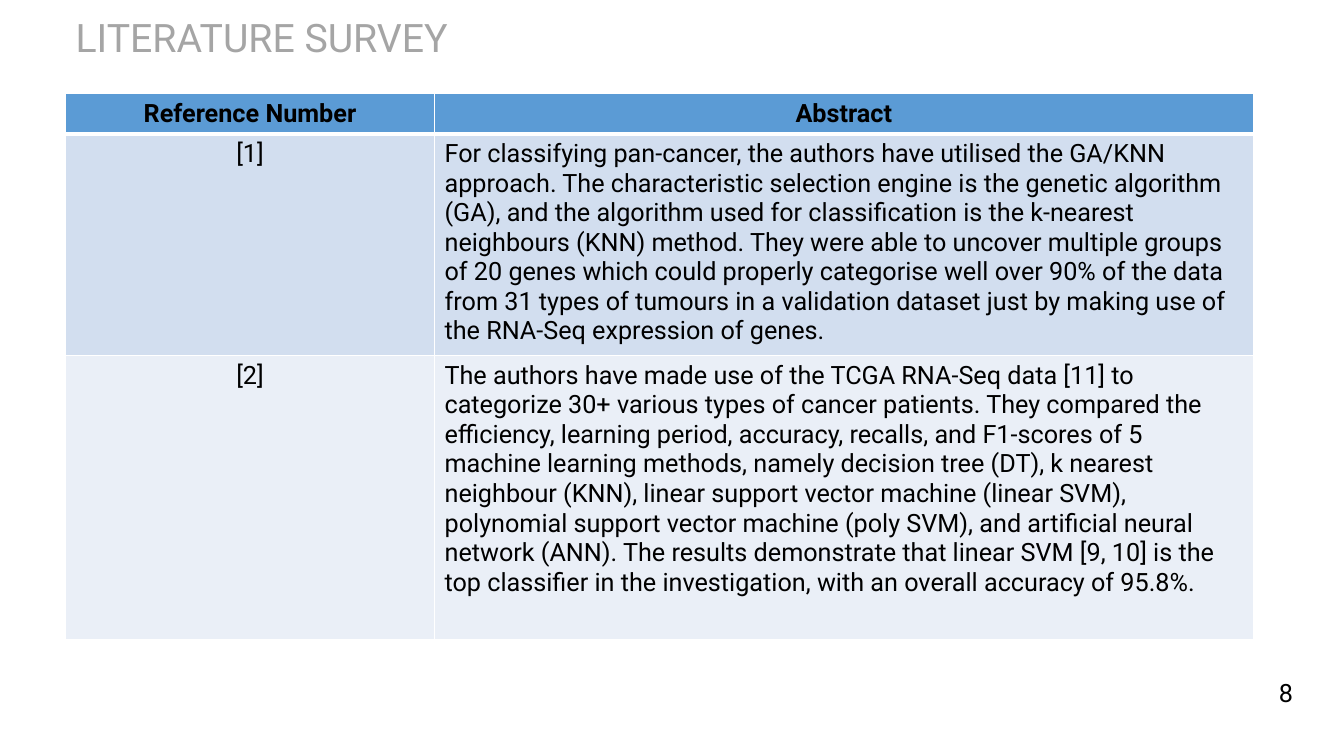
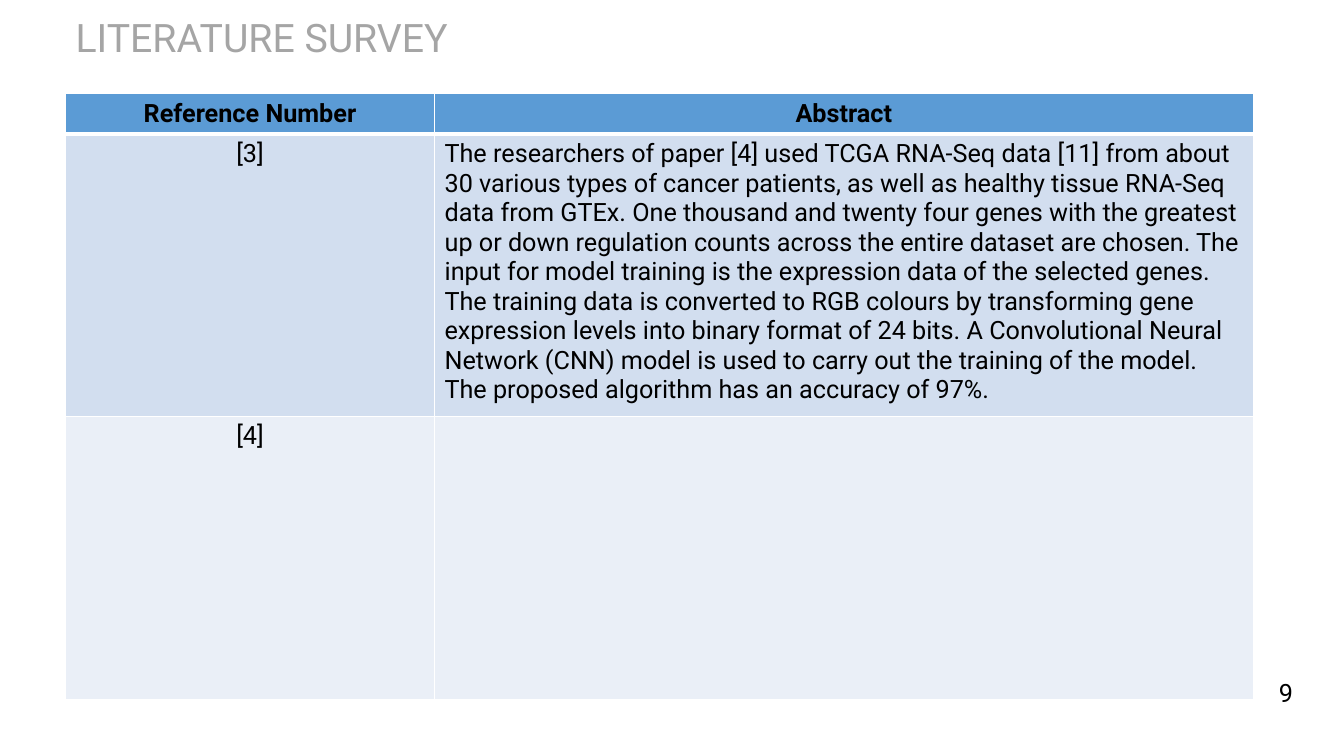
"""Build the two literature survey slides, each a table of references and abstracts."""
import pptx
import pptx.dml.color
import pptx.enum.text
import pptx.oxml
import pptx.oxml.ns
import pptx.util

Inches = pptx.util.Inches
Pt = pptx.util.Pt
RGBColor = pptx.dml.color.RGBColor
PP_ALIGN = pptx.enum.text.PP_ALIGN
MSO_ANCHOR = pptx.enum.text.MSO_ANCHOR

FONT = "Roboto"
TITLE_GREY = RGBColor(0xA5, 0xA5, 0xA5)
BLACK = RGBColor(0x00, 0x00, 0x00)
WHITE = RGBColor(0xFF, 0xFF, 0xFF)
ROW_FILLS = [
    RGBColor(0x5B, 0x9B, 0xD5),
    RGBColor(0xD2, 0xDE, 0xEF),
    RGBColor(0xEA, 0xEF, 0xF7),
]

TITLE = "LITERATURE SURVEY"
HEADINGS = ("Reference Number", "Abstract")
SURVEY_PAGES = [
    ("8", [
        ("[1]",
         "For classifying pan-cancer, the authors have utilised the GA/KNN approach. "
         "The characteristic selection engine is the genetic algorithm (GA), and the "
         "algorithm used for classification is the k-nearest neighbours (KNN) method. "
         "They were able to uncover multiple groups of 20 genes which could properly "
         "categorise well over 90% of the data from 31 types of tumours in a validation "
         "dataset just by making use of the RNA-Seq expression of genes."),
        ("[2]",
         "The authors have made use of the TCGA RNA-Seq data [11] to categorize 30+ "
         "various types of cancer patients. They compared the efficiency, learning "
         "period, accuracy, recalls, and F1-scores of 5 machine learning methods, namely "
         "decision tree (DT), k nearest neighbour (KNN), linear support vector machine "
         "(linear SVM), polynomial support vector machine (poly SVM), and artificial "
         "neural network (ANN). The results demonstrate that linear SVM [9, 10] is the "
         "top classifier in the investigation, with an overall accuracy of 95.8%."),
    ]),
    ("9", [
        ("[3]",
         "The researchers of paper [4] used TCGA RNA-Seq data [11] from about 30 various "
         "types of cancer patients, as well as healthy tissue RNA-Seq data from GTEx. "
         "One thousand and twenty four genes with the greatest up or down regulation "
         "counts across the entire dataset are chosen. The input for model training is "
         "the expression data of the selected genes.\n"
         "The training data is converted to RGB colours by transforming gene expression "
         "levels into binary format of 24 bits. A Convolutional Neural Network (CNN) "
         "model is used to carry out the training of the model. The proposed algorithm "
         "has an accuracy of 97%."),
        ("[4]", ""),
    ]),
]

LEFT = Inches(0.65)
TABLE_TOP = Inches(0.93)
COLUMN_WIDTHS = [Inches(3.66), Inches(8.12)]
ROW_HEIGHTS = [Inches(0.37), Inches(1.99), Inches(2.81)]
THIN, THICK = Pt(1), Pt(3)


def format_text(text_frame, size, color, align, bold=False):
    for paragraph in text_frame.paragraphs:
        paragraph.alignment = align
        for run in paragraph.runs:
            run.font.name = FONT
            run.font.size = Pt(size)
            run.font.bold = bold
            run.font.color.rgb = color


def set_borders(cell, widths):
    properties = cell._tc.get_or_add_tcPr()
    for side, width in widths.items():
        properties.append(pptx.oxml.parse_xml(
            f'<a:ln{side} {pptx.oxml.ns.nsdecls("a")} w="{width}"><a:solidFill>'
            f'<a:srgbClr val="{WHITE}"/></a:solidFill></a:ln{side}>'))


def add_title(slide):
    title = slide.shapes.title
    title.left, title.top = LEFT, Inches(0.15)
    title.width, title.height = Inches(6.79), Inches(0.48)
    frame = title.text_frame
    frame.text = TITLE
    frame.auto_size = pptx.enum.text.MSO_AUTO_SIZE.NONE
    frame.vertical_anchor = MSO_ANCHOR.MIDDLE
    frame.paragraphs[0].line_spacing = 0.9
    format_text(frame, 28, TITLE_GREY, PP_ALIGN.LEFT)


def add_page_number(slide, number):
    frame = slide.shapes.add_textbox(
        Inches(12.43), Inches(6.67), Inches(0.65), Inches(0.4)).text_frame
    frame.word_wrap = True
    frame.vertical_anchor = MSO_ANCHOR.MIDDLE
    frame.text = number
    format_text(frame, 18, BLACK, PP_ALIGN.CENTER)


def add_survey_table(slide, references):
    rows = [HEADINGS, *references]
    table = slide.shapes.add_table(
        len(rows), len(HEADINGS), LEFT, TABLE_TOP,
        sum(COLUMN_WIDTHS), sum(ROW_HEIGHTS)).table
    for column, width in zip(table.columns, COLUMN_WIDTHS):
        column.width = width
    for row, height in zip(table.rows, ROW_HEIGHTS):
        row.height = height
    for r, texts in enumerate(rows):
        is_header = r == 0
        for c, text in enumerate(texts):
            cell = table.cell(r, c)
            cell.text_frame.text = text
            centred = is_header or c == 0
            format_text(cell.text_frame, 18, BLACK,
                        PP_ALIGN.CENTER if centred else PP_ALIGN.LEFT, is_header)
            set_borders(cell, {"L": THIN, "R": THIN,
                               "T": THICK if r == 1 else THIN,
                               "B": THICK if is_header else THIN})
            cell.fill.solid()
            cell.fill.fore_color.rgb = ROW_FILLS[r]


def main():
    deck = pptx.Presentation()
    deck.slide_width, deck.slide_height = Inches(13.33), Inches(7.5)
    title_only = deck.slide_layouts.get_by_name("Title Only")
    for number, references in SURVEY_PAGES:
        slide = deck.slides.add_slide(title_only)
        add_title(slide)
        add_page_number(slide, number)
        add_survey_table(slide, references)
    deck.save("out.pptx")


if __name__ == "__main__":
    main()
